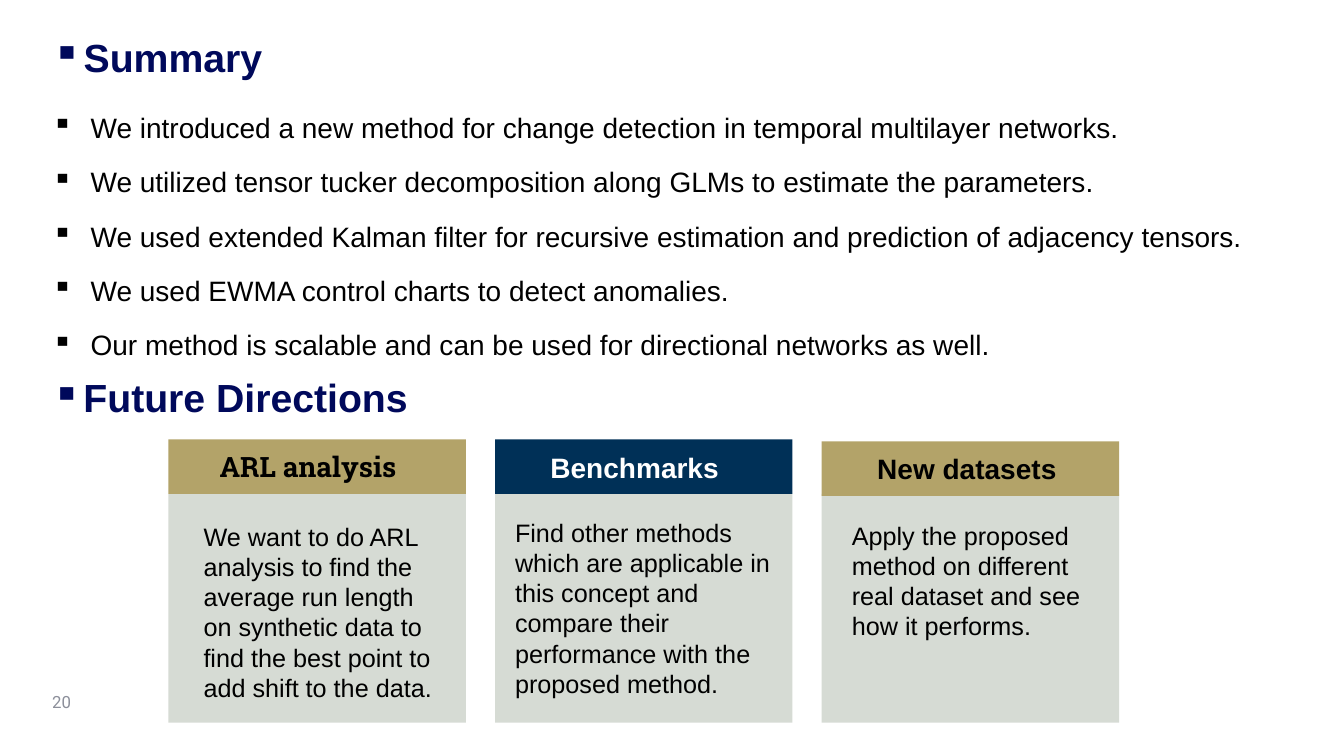
"""Build the summary and future directions slide."""
from dataclasses import dataclass

from lxml import etree
from pptx import Presentation
from pptx import util as u
from pptx.dml.color import RGBColor
from pptx.enum import shapes, text
from pptx.oxml.ns import qn


@dataclass(frozen=True)
class Theme:
    """Colours, fonts and type sizes of the slide."""
    navy: str = "00095B"
    blue: str = "003057"
    gold: str = "B3A369"
    panel: str = "D6DBD4"
    black: str = "000000"
    white: str = "FFFFFF"
    grey: str = "8C8F9A"
    sans: str = "Arial"
    slab: str = "Roboto Slab"
    number: str = "Roboto"
    heading_size: int = 28
    list_size: int = 20
    body_size: int = 18
    number_size: int = 12


THEME = Theme()
LEFT = 0.42
HEADING_SIZE = (8.03, 0.77)
CARD_LEFT, CARD_PITCH, CARD_WIDTH = 1.67, 3.24, 2.95
HEADER_HEIGHT, PANEL_TOP, PANEL_HEIGHT = 0.54, 4.9, 2.27

FINDINGS = [
    "We introduced a new method for change detection in temporal multilayer networks.",
    "We utilized tensor tucker decomposition along GLMs to estimate the parameters.",
    "We used extended Kalman filter for recursive estimation and prediction of adjacency tensors.",
    "We used EWMA control charts to detect anomalies.",
    "Our method is scalable and can be used for directional networks as well.",
]

CARDS = [
    {"title": "ARL analysis", "font": THEME.slab, "color": THEME.black,
     "fill": THEME.gold, "top": 4.36,
     "title_box": (0.2, 0.05, 2.37, 0.44), "body_box": (0.25, 0.22, 2.51, 1.92),
     "body": "We want to do ARL analysis to find the average run length on "
             "synthetic data to find the best point to add shift to the data."},
    {"title": "Benchmarks", "font": THEME.sans, "color": THEME.white,
     "fill": THEME.blue, "top": 4.36,
     "title_box": (0.2, 0.06, 2.37, 0.44), "body_box": (0.1, 0.18, 2.75, 1.92),
     "body": "Find other methods which are applicable in this concept and "
             "compare their performance with the proposed method."},
    {"title": "New datasets", "font": THEME.sans, "color": THEME.black,
     "fill": THEME.gold, "top": 4.38,
     "title_box": (0.11, 0.05, 2.66, 0.44), "body_box": (0.2, 0.21, 2.51, 1.31),
     "body": "Apply the proposed method on different real dataset and see how it performs."},
]


def set_attributes(target, values):
    """Set each named value on the target."""
    for name, value in values.items():
        setattr(target, name, value)


def place(shape, box):
    """Move and size a shape to a box given in inches."""
    names = ("left", "top", "width", "height")
    set_attributes(shape, {name: u.Inches(value) for name, value in zip(names, box)})


def add_bullet(paragraph, indent):
    """Give a paragraph a square bullet with a hanging indent."""
    properties = paragraph._p.get_or_add_pPr()
    properties.set("marL", str(u.Inches(indent)))
    properties.set("indent", str(-u.Inches(indent)))
    etree.SubElement(properties, qn("a:buChar")).set("char", "▪")


def write(shape, lines, size, color, font=THEME.sans, bold=False, indent=0,
          anchor=text.MSO_ANCHOR.TOP, **spacing):
    """Fill a shape with formatted paragraphs."""
    frame = shape.text_frame
    set_attributes(frame, {"word_wrap": True, "vertical_anchor": anchor,
                           "auto_size": text.MSO_AUTO_SIZE.NONE})
    for index, line in enumerate(lines):
        paragraph = frame.paragraphs[0] if index == 0 else frame.add_paragraph()
        if indent:
            add_bullet(paragraph, indent)
        set_attributes(paragraph, {"alignment": text.PP_ALIGN.LEFT, **spacing})
        if index == 0:
            paragraph.space_before = u.Pt(0)
        run = paragraph.add_run()
        run.text = line
        set_attributes(run.font, {"name": font, "size": u.Pt(size), "bold": bold})
        run.font.color.rgb = RGBColor.from_string(color)


def add_text(slide, box, lines, size, color, **options):
    """Add a text box at a box given in inches."""
    shape = slide.shapes.add_textbox(*map(u.Inches, box))
    write(shape, lines, size, color, **options)


def add_block(slide, box, fill):
    """Add a plain filled rectangle."""
    shape = slide.shapes.add_shape(shapes.MSO_SHAPE.RECTANGLE, *map(u.Inches, box))
    shape.shadow.inherit = False
    shape.fill.solid()
    shape.fill.fore_color.rgb = RGBColor.from_string(fill)
    shape.line.fill.background()


def write_heading(shape, heading, top):
    """Place and fill a bulleted section heading."""
    place(shape, (LEFT, top, *HEADING_SIZE))
    write(shape, [heading], THEME.heading_size, THEME.navy, bold=True,
          indent=0.31, line_spacing=0.9, space_after=u.Pt(18))


def add_findings(slide, box):
    """Add the bulleted list of findings."""
    add_text(slide, box, FINDINGS, THEME.list_size, THEME.black, indent=0.38,
             line_spacing=1.2, space_before=u.Pt(10))


def add_card(slide, left, card):
    """Add a panel with a coloured header, a title and a body text."""
    add_block(slide, (left, PANEL_TOP, CARD_WIDTH, PANEL_HEIGHT), THEME.panel)
    add_block(slide, (left, card["top"], CARD_WIDTH, HEADER_HEIGHT), card["fill"])
    x, y, width, height = card["title_box"]
    add_text(slide, (left + x, card["top"] + y, width, height), [card["title"]],
             THEME.list_size, card["color"], font=card["font"], bold=True,
             alignment=text.PP_ALIGN.CENTER)
    x, y, width, height = card["body_box"]
    add_text(slide, (left + x, PANEL_TOP + y, width, height), [card["body"]],
             THEME.body_size, THEME.black)


def build_slide(presentation):
    """Add the slide and all its regions."""
    slide = presentation.slides.add_slide(presentation.slide_layouts[5])
    write_heading(slide.shapes.title, "Summary", 0.33)
    add_findings(slide, (LEFT, 0.98, 12.33, 2.89))
    write_heading(slide.shapes.add_textbox(0, 0, 0, 0), "Future Directions", 3.71)
    for index, card in enumerate(CARDS):
        add_card(slide, CARD_LEFT + index * CARD_PITCH, card)
    add_text(slide, (LEFT, 6.76, 1, 0.4), ["20"], THEME.number_size, THEME.grey,
             font=THEME.number, anchor=text.MSO_ANCHOR.MIDDLE)


def main():
    """Create and save the presentation."""
    presentation = Presentation()
    set_attributes(presentation, {"slide_width": u.Inches(13.33),
                                  "slide_height": u.Inches(7.5)})
    build_slide(presentation)
    presentation.save("out.pptx")


if __name__ == "__main__":
    main()
